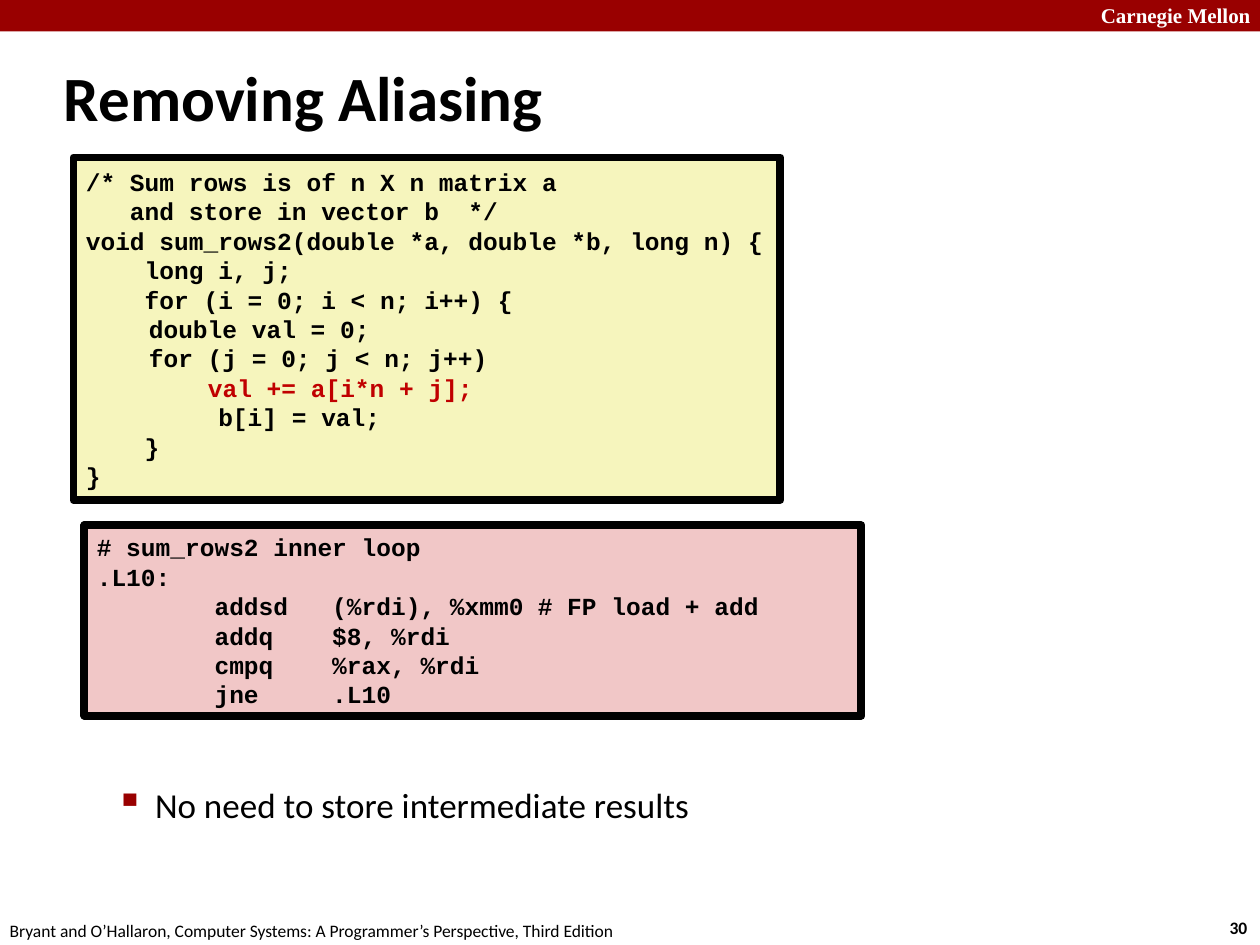
from dataclasses import dataclass

from lxml.etree import SubElement
from pptx import Presentation
from pptx.dml.color import RGBColor
from pptx.enum.shapes import MSO_SHAPE
from pptx.enum.text import MSO_ANCHOR, PP_ALIGN
from pptx.oxml.ns import qn
from pptx.util import Pt

COLORS = {
    "black": "000000", "white": "FFFFFF", "brand": "990000",
    "mark": "C00000", "cream": "F6F5BD", "pink": "F1C7C7",
}
HOT = "val += a[i*n + j];"

C_CODE = """\
/* Sum rows is of n X n matrix a
   and store in vector b  */
void sum_rows2(double *a, double *b, long n) {
    long i, j;
    for (i = 0; i < n; i++) {
\tdouble val = 0;
\tfor (j = 0; j < n; j++)
\t    val += a[i*n + j];
         b[i] = val;
    }
}"""

ASM_CODE = """\
# sum_rows2 inner loop
.L10:
        addsd   (%rdi), %xmm0\t# FP load + add
        addq    $8, %rdi
        cmpq    %rax, %rdi
        jne     .L10"""


@dataclass(frozen=True)
class Box:
    left: float
    top: float
    width: float
    height: float

    def area(self) -> tuple:
        return Pt(self.left), Pt(self.top), Pt(self.width), Pt(self.height)


@dataclass(frozen=True)
class Label:
    text: str
    box: Box
    size: float
    font: str = "Calibri"
    color: str = "black"
    bold: bool = False
    anchor: MSO_ANCHOR = MSO_ANCHOR.TOP
    bullet: bool = False


@dataclass(frozen=True)
class Code:
    text: str
    box: Box
    fill: str


LABELS = [
    Label("Carnegie Mellon", Box(622, -2, 103, 21.6), 12,
          font="Times New Roman", color="white", bold=True),
    Label("30", Box(695.5, 520.5, 27, 19.5), 10, bold=True),
    Label("Bryant and O’Hallaron, Computer Systems: "
          "A Programmer’s Perspective, Third Edition",
          Box(-1.5, 522, 366, 19.5), 10),
    Label("Removing Aliasing", Box(29.5, 25, 598, 60), 36,
          bold=True, anchor=MSO_ANCHOR.MIDDLE),
    Label("No need to store intermediate results",
          Box(23, 444, 654.5, 63.5), 20, bullet=True),
]
CODES = [
    Code(ASM_CODE, Box(48.25, 300.25, 444, 108.75), "pink"),
    Code(C_CODE, Box(42, 90, 404, 195.75), "cream"),
]


def rgb(name: str) -> RGBColor:
    return RGBColor.from_string(COLORS[name])


def write(para, text: str, *, size: float, font: str = "Calibri",
          color: str = "black", bold: bool = False) -> None:
    run = para.add_run()
    run.text = text
    run.font.size, run.font.name, run.font.bold = Pt(size), font, bold
    run.font.color.rgb = rgb(color)


def add_bullet(para) -> None:
    props = para._p.get_or_add_pPr()
    props.set("marL", str(Pt(58.5)))
    props.set("indent", str(Pt(-22.5)))
    tint = SubElement(props, qn("a:buClr"))
    SubElement(tint, qn("a:srgbClr"), val=COLORS["brand"])
    SubElement(props, qn("a:buSzPct"), val="110000")
    SubElement(props, qn("a:buChar"), char="▪")


def add_rect(slide, box: Box, fill: str):
    rect = slide.shapes.add_shape(MSO_SHAPE.RECTANGLE, *box.area())
    rect.shadow.inherit = False
    rect.fill.solid()
    rect.fill.fore_color.rgb = rgb(fill)
    rect.line.fill.background()
    return rect


def add_label(slide, label: Label) -> None:
    frame = slide.shapes.add_textbox(*label.box.area()).text_frame
    frame.word_wrap = True
    frame.vertical_anchor = label.anchor
    para = frame.paragraphs[0]
    if label.bullet:
        add_bullet(para)
    write(para, label.text, size=label.size, font=label.font,
          color=label.color, bold=label.bold)


def add_code(slide, code: Code) -> None:
    """Draw a framed listing, with its hot statement in the mark colour."""
    rect = add_rect(slide, code.box, code.fill)
    rect.line.color.rgb = rgb("black")
    rect.line.width = Pt(4.5)
    frame = rect.text_frame
    frame.word_wrap = True
    frame.vertical_anchor = MSO_ANCHOR.MIDDLE
    for row, line in enumerate(code.text.split("\n")):
        para = frame.add_paragraph() if row else frame.paragraphs[0]
        para.alignment = PP_ALIGN.LEFT
        para.line_spacing = Pt(16.8)
        for part in line.partition(HOT):
            if part:
                write(para, part, size=14, font="Courier New", bold=True,
                      color="mark" if part == HOT else "black")


def main() -> None:
    deck = Presentation()
    deck.slide_width, deck.slide_height = Pt(720), Pt(540)
    slide = deck.slides.add_slide(deck.slide_layouts[6])
    add_rect(slide, Box(0, 0, 720, 18), "brand")
    for label in LABELS:
        add_label(slide, label)
    for code in CODES:
        add_code(slide, code)
    deck.save("out.pptx")


if __name__ == "__main__":
    main()
